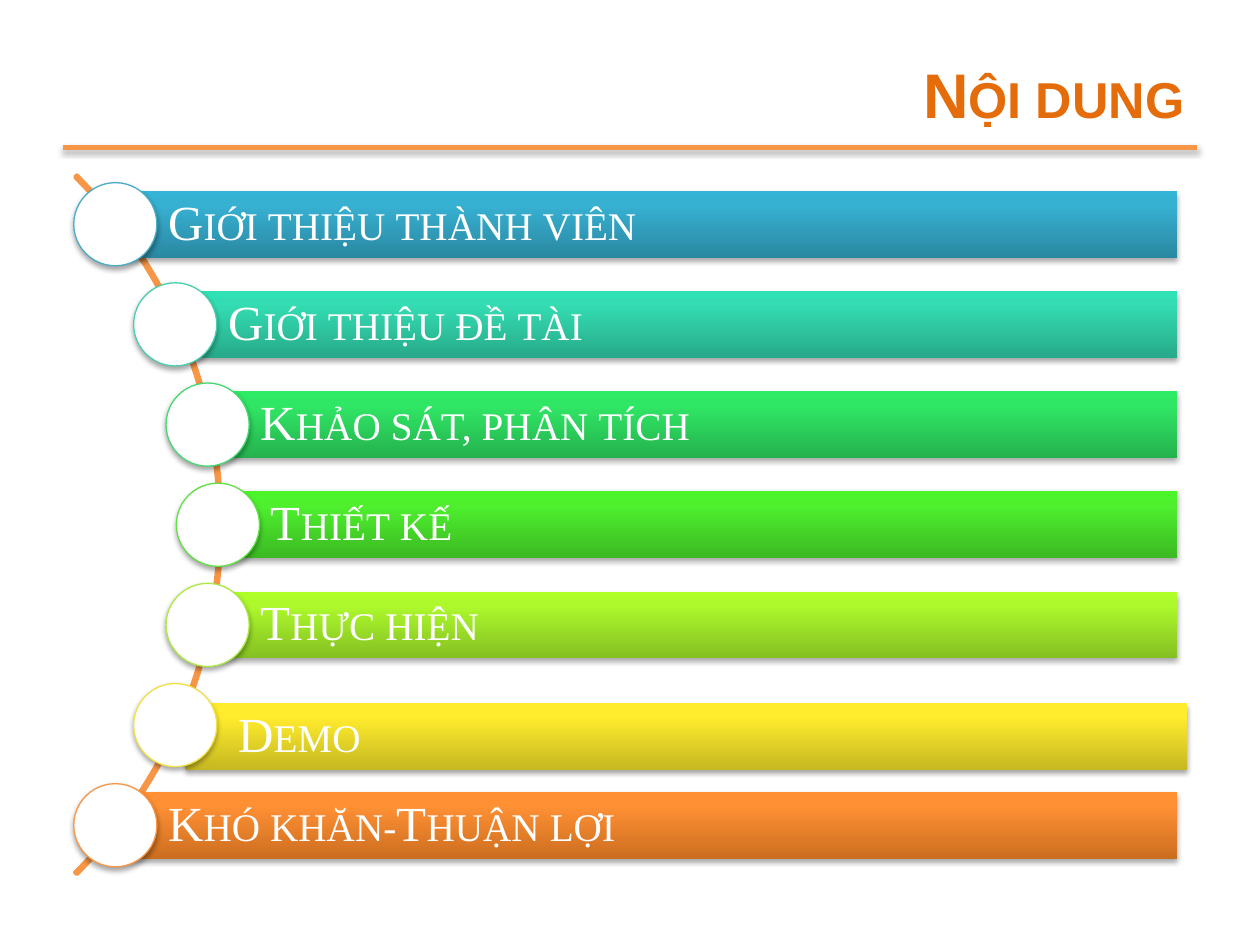
from copy import deepcopy
from math import sqrt
from pptx import Presentation
from pptx.dml.color import RGBColor
from pptx.enum.shapes import MSO_CONNECTOR, MSO_SHAPE
from pptx.enum.text import MSO_ANCHOR, MSO_AUTO_SIZE, PP_ALIGN
from pptx.oxml import parse_xml
from pptx.oxml.ns import nsdecls, qn
from pptx.util import Inches, Pt

HUES = {"rule": "F79646", "title": "E46C0A", "white": "FFFFFF", "shade": "000000"}
# label, ring colour, bar gradient from bottom to top, bar offset (x, y)
ROWS = [
    ("Giới thiệu thành viên", "4BACC6", ("2A88A2", "37B1D2", "34B4D6"), (0, 0)),
    ("Giới thiệu đề tài", "49CFAE", ("27AA89", "33DCB2", "30E1B5"), (0, 0)),
    ("Khảo sát, phân tích", "47D872", ("25B24E", "30E765", "2DEB64"), (0, 0)),
    ("Thiết kế", "60E146", ("3CB923", "4EF02E", "4CF52A"), (0, 0)),
    ("Thực hiện", "ACE946", ("85C022", "ADF92C", "AFFE28"), (0, 0)),
    ("Demo", "F0E146", ("C6B821", "FFEC2D", "FFED2E"), (0.08, 0.09)),
    ("Khó khăn-Thuận lợi", "F79646", ("CC6E20", "FF9034", "FF9136"), (0, 0)),
]
STOPS = (0, 0.8, 1)
TOP, STEP = 1.78, 0.8 - 0.005      # centre of the first row, row pitch
BAR, DOT, RIGHT = 0.53, 0.66, 9.34  # bar height, circle size, right edge of bars
HUB, REACH = (-2.17, TOP + 3 * STEP), 3.9  # circle centres lie on this arc


def cast(shape):
    """Give the shape a soft shadow straight below it."""
    shape._element.spPr.append(parse_xml(
        f'<a:effectLst {nsdecls("a")}><a:outerShdw blurRad="40000" dist="23000" '
        f'dir="5400000" rotWithShape="0"><a:srgbClr val="{HUES["shade"]}">'
        '<a:alpha val="35000"/></a:srgbClr></a:outerShdw></a:effectLst>'))


def write(frame, text, form, look):
    """Put one small-caps line in the frame; form styles the frame, look the font."""
    for name, value in form.items():
        setattr(frame, name, value)
    line = frame.paragraphs[0]
    run = line.add_run()
    run.text = text
    hue = look["hue"]
    for name in ("name", "size", "bold"):
        setattr(run.font, name, look[name])
    run.font.color.rgb = RGBColor.from_string(HUES[hue])
    run.font._element.set("cap", "small")
    line.alignment = look["align"]
    line.line_spacing = look["pitch"]


deck = Presentation()
deck.slide_width, deck.slide_height = Inches(10), Inches(7.5)
wide, high = deck.slide_width, deck.slide_height
slide = deck.slides.add_slide(deck.slide_layouts[5])
shapes = slide.shapes

title = shapes.title
title.left, title.top, title.width, title.height = map(Inches, (1.75, 0.17, 7.75, 0.92))
write(title.text_frame, "Nội dung",
      {"vertical_anchor": MSO_ANCHOR.BOTTOM, "word_wrap": True,
       "auto_size": MSO_AUTO_SIZE.NONE},
      {"name": "Arial", "size": Pt(36), "bold": True, "hue": "title",
       "align": PP_ALIGN.RIGHT, "pitch": 1.0})

rule = shapes.add_connector(MSO_CONNECTOR.STRAIGHT, int(wide * 0.05), Inches(1.17),
                            int(wide * 0.95), Inches(1.17))
rule.line.color.rgb = RGBColor.from_string(HUES["rule"])
rule.line.width = Pt(3)
cast(rule)

size = 7.85
arc = shapes.add_shape(MSO_SHAPE.BLOCK_ARC, Inches(-6.09), Inches(HUB[1] - size / 2),
                       Inches(size), Inches(size))
for i, value in enumerate((189, 27, 0.003)):  # from 315 to 45 degrees, hair thin
    arc.adjustments[i] = value
arc.shadow.inherit = False
arc.fill.background()
arc.line.color.rgb = RGBColor.from_string(HUES["rule"])
arc.line.width = Pt(2)

for i, (label, ring, blend, (dx, dy)) in enumerate(ROWS):
    y = TOP + i * STEP
    x = HUB[0] + sqrt(REACH ** 2 - (y - HUB[1]) ** 2)

    bar = shapes.add_shape(MSO_SHAPE.RECTANGLE, Inches(x + dx), Inches(y - BAR / 2 + dy),
                           Inches(RIGHT - x), Inches(BAR))
    bar.fill.gradient()
    bar.fill.gradient_angle = 90
    stops = bar._element.spPr.find(".//" + qn("a:gsLst"))
    stops.append(deepcopy(stops[0]))
    for stop, place, hue in zip(bar.fill.gradient_stops, STOPS, blend):
        stop.position = place
        stop.color.rgb = RGBColor.from_string(hue)
    bar.line.fill.background()
    cast(bar)
    write(bar.text_frame, label,
          {"vertical_anchor": MSO_ANCHOR.MIDDLE, "word_wrap": True,
           "margin_left": Inches(0.42), "margin_right": Inches(0.08),
           "margin_top": Inches(0.08), "margin_bottom": Inches(0.08)},
          {"name": "Times New Roman", "size": Pt(28), "bold": False, "hue": "white",
           "align": PP_ALIGN.LEFT, "pitch": 0.9})

    dot = shapes.add_shape(MSO_SHAPE.OVAL, Inches(x - DOT / 2), Inches(y - DOT / 2),
                           Inches(DOT), Inches(DOT))
    dot.fill.solid()
    dot.fill.fore_color.rgb = RGBColor.from_string(HUES["white"])
    dot.line.color.rgb = RGBColor.from_string(ring)
    dot.line.width = Pt(0.75)
    cast(dot)

deck.save("out.pptx")
